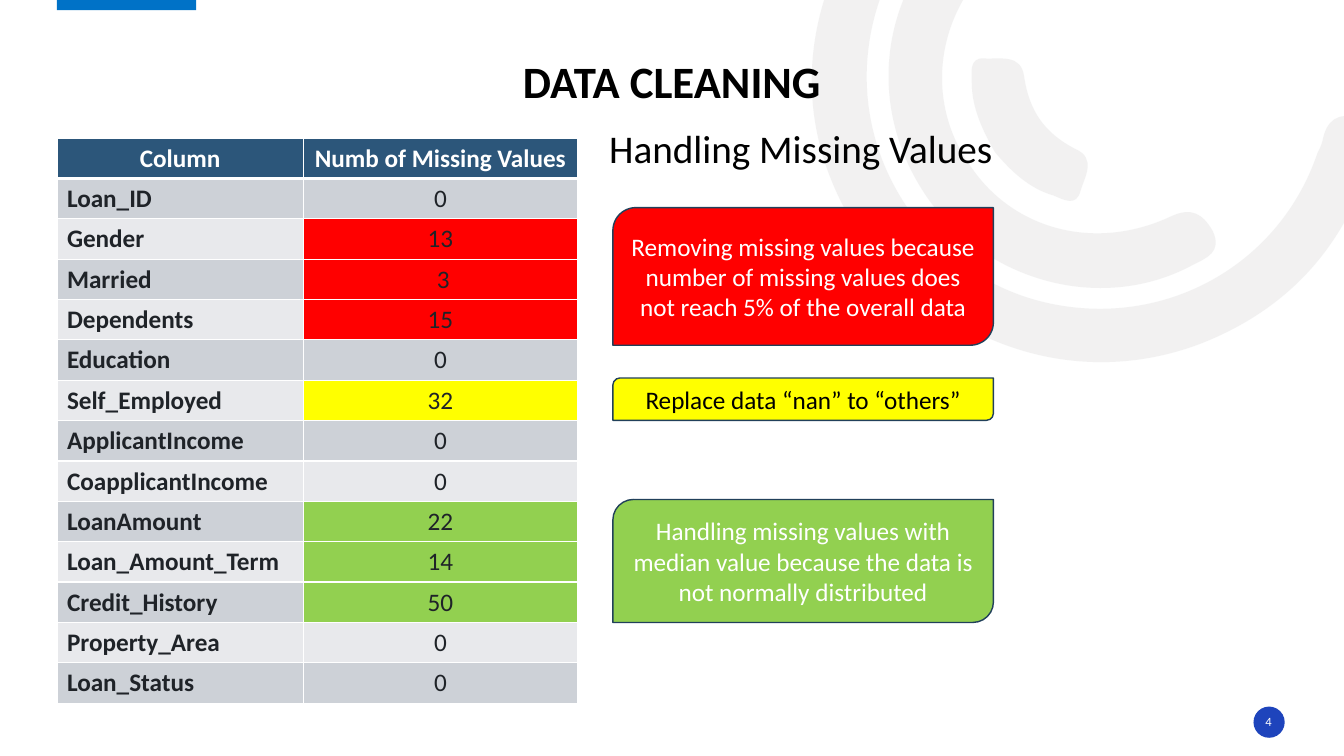
import dataclasses
import typing

import lxml.etree
import pptx
import pptx.dml.color
import pptx.enum.shapes
import pptx.enum.text
import pptx.oxml.ns
import pptx.util

Shapes = pptx.enum.shapes.MSO_SHAPE
Align = pptx.enum.text.PP_ALIGN
Anchor = pptx.enum.text.MSO_ANCHOR
qn = pptx.oxml.ns.qn


@dataclasses.dataclass(frozen=True)
class Theme:
    font: str = "Calibri"
    black: str = "000000"
    white: str = "FFFFFF"
    ink: str = "1F2328"
    ring: str = "E7E6E6"
    tab: str = "0072C7"
    badge: str = "1E44BC"
    outline: str = "21405A"
    header: str = "2C567A"
    bands: tuple[str, str] = ("CDD1D7", "E8E9EC")
    red: str = "FF0000"
    yellow: str = "FFFF00"
    green: str = "92D050"
    title_size: int = 32
    heading_size: int = 28
    body_size: int = 18
    number_size: int = 9


THEME = Theme()
GRID = 0.1  # inches per grid column and row
COLUMNS, ROWS = 133.33, 75


class Area(typing.NamedTuple):
    column: float
    row: float
    columns: float
    rows: float


class Callout(typing.NamedTuple):
    row: float
    rows: float
    fill: str
    color: str
    text: str


class Missing(typing.NamedTuple):
    column: str
    count: str
    fill: str | None = None


class Ring(typing.NamedTuple):
    start: tuple[float, float]
    curves: list[tuple[float, ...]]  # two control points and an end point


RINGS = [
    Ring((85.1, 22.9), [
        (79.9, 14.9, 78.7, 5, 83.8, -5), (89, -15.2, 97.6, -20.3, 109, -20.7),
        (110.5, -20.7, 112.1, -21, 113.1, -19.5), (114.4, -17.5, 112.7, -15.4, 109.8, -15.4),
        (96.7, -15.4, 86.5, -5.9, 86, 6.8), (85.6, 18.1, 93.6, 28.1, 104.6, 30.2),
        (116, 32.4, 127, 26.1, 130.7, 15.2), (130.9, 14.8, 131.1, 14.4, 131.2, 14),
        (131.6, 11.9, 132.7, 11.1, 134.9, 11.7), (137.3, 12.4, 136.7, 14.1, 136.1, 15.6),
        (133.4, 24.5, 127.8, 30.7, 119.1, 34.1), (107, 38.7, 93.6, 34.5, 85.1, 22.9)]),
    Ring((92.2, 19.9), [
        (86.2, 11.5, 86.9, 0.7, 94, -6.8), (95.1, -7.9, 96.2, -9.5, 98, -7.8),
        (99.5, -6.4, 99.7, -5, 97.9, -3.2), (92.5, 2.6, 92, 10.8, 96.5, 16.8),
        (100.8, 22.9, 108.8, 24.9, 116.1, 21.5), (118.2, 20.5, 119.3, 21.2, 120.3, 22.9),
        (121.3, 25, 119.7, 25.6, 118.3, 26.3), (109.6, 31, 98.3, 28.2, 92.2, 19.9)]),
    Ring((98.7, 15.1), [
        (97.5, 13, 96.4, 10.7, 96.4, 8.2), (96.4, 7.3, 96.1, 5.7, 97.6, 5.8),
        (99.2, 5.9, 101.3, 5.3, 101.6, 7.6), (102.1, 11, 103.6, 13.2, 106.7, 14.8),
        (108.8, 15.7, 107.6, 17.6, 107.2, 18.9), (106.8, 20.6, 105.5, 19.8, 104.5, 19.4),
        (102.1, 18.7, 100.3, 17, 98.7, 15.1)]),
]

MISSING = [
    Missing("Loan_ID", "0"),
    Missing("Gender", "13", THEME.red),
    Missing("Married", " 3", THEME.red),
    Missing("Dependents", "15", THEME.red),
    Missing("Education", "0"),
    Missing("Self_Employed", "32", THEME.yellow),
    Missing("ApplicantIncome", "0"),
    Missing("CoapplicantIncome", "0"),
    Missing("LoanAmount", "22", THEME.green),
    Missing("Loan_Amount_Term", "14", THEME.green),
    Missing("Credit_History", "50", THEME.green),
    Missing("Property_Area", "0"),
    Missing("Loan_Status", "0"),
]

CALLOUTS = [
    Callout(20.6, 13.65, THEME.red, THEME.white, "Removing missing values because number "
            "of missing values does not reach 5% of the overall data"),
    Callout(37.5, 4.2, THEME.yellow, THEME.black, "Replace data “nan” to “others”"),
    Callout(49.55, 12.2, THEME.green, THEME.white, "Handling missing values with median "
            "value because the data is not normally distributed"),
]


def span(units: float) -> pptx.util.Length:
    return pptx.util.Inches(units * GRID)


def place(area: Area) -> list[pptx.util.Length]:
    return [span(units) for units in area]


def rgb(color: str) -> pptx.dml.color.RGBColor:
    return pptx.dml.color.RGBColor.from_string(color)


def write(frame, text: str, size: int, color: str, bold: bool = False,
          align: Align = Align.CENTER):
    para = frame.paragraphs[0]
    para.text, para.alignment = text, align
    font = para.font
    font.name, font.size, font.bold = THEME.font, pptx.util.Pt(size), bold
    font.color.rgb = rgb(color)
    return para


def paint(shape, fill: str, line: str | None = None) -> None:
    shape.shadow.inherit = False
    shape.fill.solid()
    shape.fill.fore_color.rgb = rgb(fill)
    if line:
        shape.line.color.rgb, shape.line.width = rgb(line), pptx.util.Pt(1)
    else:
        shape.line.fill.background()


def add_box(page, kind: Shapes, area: Area, fill: str, line: str | None = None):
    box = page.shapes.add_shape(kind, *place(area))
    paint(box, fill, line)
    return box


def add_text(page, area: Area, anchor: Anchor, inset: float):
    frame = page.shapes.add_textbox(*place(area)).text_frame
    frame.word_wrap, frame.vertical_anchor = True, anchor
    frame.margin_left = frame.margin_right = span(inset)
    frame.margin_top = frame.margin_bottom = span(inset / 2)
    return frame


def add_ring(page, ring: Ring) -> None:
    builder = page.shapes.build_freeform(span(ring.start[0]), span(ring.start[1]))
    builder.add_line_segments([(span(curve[4]), span(curve[5])) for curve in ring.curves])
    shape = builder.convert_to_shape()
    paint(shape, THEME.ring)
    properties = shape.element.spPr
    # Turn each straight segment into a cubic curve
    for segment, curve in zip(properties.findall(".//" + qn("a:lnTo")), ring.curves):
        bend = lxml.etree.Element(qn("a:cubicBezTo"))
        for x, y in zip(curve[::2], curve[1::2]):
            lxml.etree.SubElement(bend, qn("a:pt"), x=str(span(x) - shape.left),
                                  y=str(span(y) - shape.top))
        segment.getparent().replace(segment, bend)
    color = properties.find(".//" + qn("a:srgbClr"))
    lxml.etree.SubElement(color, qn("a:alpha"), val="53000")


def add_borders(cell, top: float, bottom: float) -> None:
    properties = cell._tc.get_or_add_tcPr()
    for side, width in (("L", 1), ("R", 1), ("T", top), ("B", bottom)):
        line = lxml.etree.SubElement(properties, qn(f"a:ln{side}"),
                                     w=str(pptx.util.Pt(width)))
        fill = lxml.etree.SubElement(line, qn("a:solidFill"))
        lxml.etree.SubElement(fill, qn("a:srgbClr"), val=THEME.white)


def add_missing_table(page, area: Area, widths: tuple[float, float], height: float) -> None:
    lines = [Missing("Column", "Numb of Missing Values"), *MISSING]
    holder = page.shapes.add_table(len(lines), len(widths), *place(area))
    table = holder.table
    for column, width in zip(table.columns, widths):
        column.width = span(width)
    for row in table.rows:
        row.height = span(height)
    holder.width, holder.height = span(area.columns), span(area.rows)
    for index, line in enumerate(lines):
        header = index == 0
        band = THEME.header if header else THEME.bands[(index - 1) % 2]
        for side, text in enumerate((line.column, line.count)):
            cell = table.cell(index, side)
            add_borders(cell, top=3 if index == 1 else 1, bottom=3 if header else 1)
            cell.fill.solid()
            cell.fill.fore_color.rgb = rgb(line.fill if side and line.fill else band)
            write(cell.text_frame, text, THEME.body_size,
                  THEME.white if header else THEME.ink, header or side == 0,
                  Align.CENTER if header or side else Align.LEFT)


def main() -> None:
    deck = pptx.Presentation()
    deck.slide_width, deck.slide_height = span(COLUMNS), span(ROWS)
    page = deck.slides.add_slide(deck.slide_layouts[6])

    # Background rings, top tab and page number
    for ring in RINGS:
        add_ring(page, ring)
    add_box(page, Shapes.RECTANGLE, Area(5.65, -0.2, 13.8, 1.2), THEME.tab)
    add_box(page, Shapes.OVAL, Area(124.35, 70.1, 3.1, 3.1), THEME.badge)
    frame = add_text(page, Area(124.25, 70.6, 3.2, 2), Anchor.MIDDLE, 0)
    write(frame, "4", THEME.number_size, THEME.white)

    # Title and heading
    frame = add_text(page, Area(59.45, 12.75, 40.5, 4.9), Anchor.TOP, 1)
    para = write(frame, "Handling Missing Values", THEME.heading_size, THEME.black,
                 align=Align.LEFT)
    para.line_spacing, para.space_before = 0.8, pptx.util.Pt(10)
    frame = add_text(page, Area(5.7, 3.3, 121.9, 7.4), Anchor.BOTTOM, 0)
    write(frame, "DATA CLEANING", THEME.title_size, THEME.black, True).line_spacing = 0.9

    # Missing value counts and how each colour is handled
    add_missing_table(page, Area(5.65, 13.7, 51.65, 56), (24.45, 27.2), 3.5)
    for note in CALLOUTS:
        box = add_box(page, Shapes.ROUND_2_DIAG_RECTANGLE,
                      Area(60.8, note.row, 37.75, note.rows), note.fill, THEME.outline)
        box.text_frame.word_wrap = True
        box.text_frame.vertical_anchor = Anchor.MIDDLE
        write(box.text_frame, note.text, THEME.body_size, note.color)

    deck.save("out.pptx")


if __name__ == "__main__":
    main()
